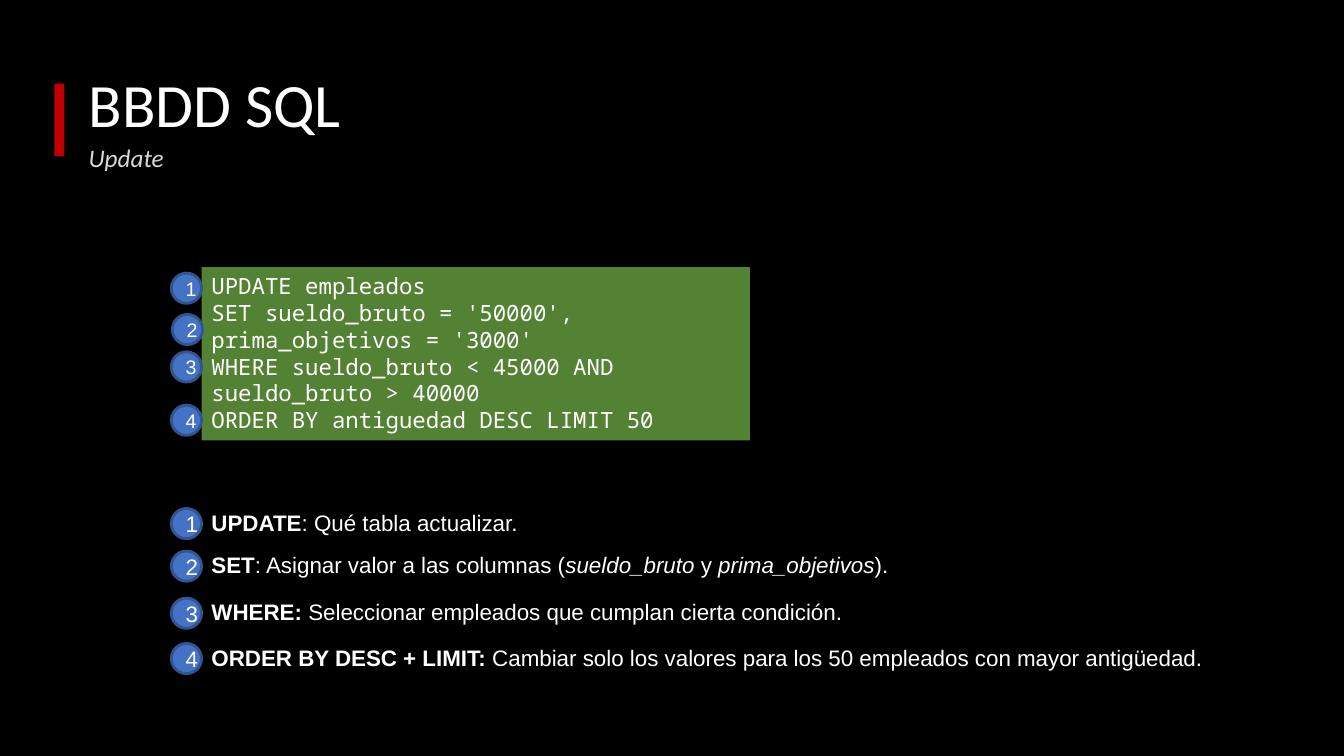
"""Builds the slide that explains the clauses of an SQL UPDATE statement."""
from pptx import Presentation
from pptx.dml.color import RGBColor
from pptx.enum.shapes import MSO_SHAPE
from pptx.enum.text import MSO_ANCHOR, PP_ALIGN
from pptx.util import Pt

TITLE, SUBTITLE = "BBDD SQL", "Update"
CODE = [
    "UPDATE empleados",
    "SET sueldo_bruto = '50000',",
    "prima_objetivos = '3000'",
    "WHERE sueldo_bruto < 45000 AND sueldo_bruto > 40000",
    "ORDER BY antiguedad DESC LIMIT 50",
]
CODE_BADGES = [(122.4, 195.1), (123.1, 224.6), (122.4, 251.3), (122.4, 289.4)]
CLAUSES = [
    (360, [("UPDATE", "b"), (": Qué tabla actualizar.", "")]),
    (390.4, [("SET", "b"), (": Asignar valor a las columnas (", ""),
             ("sueldo_bruto", "i"), (" y ", ""), ("prima_objetivos", "i"), (").", "")]),
    (424, [("WHERE: ", "b"),
           ("Seleccionar empleados que cumplan cierta condición.", "")]),
    (456.4, [("ORDER BY DESC + LIMIT: ", "b"),
             ("Cambiar solo los valores para los 50 empleados con mayor antigüedad.", "")]),
]

BLACK = RGBColor(0x00, 0x00, 0x00)
WHITE = RGBColor(0xFF, 0xFF, 0xFF)
GREY = RGBColor(0xD8, 0xD8, 0xD8)
RED = RGBColor(0xC0, 0x00, 0x00)
GREEN = RGBColor(0x54, 0x82, 0x35)
BLUE = RGBColor(0x44, 0x72, 0xC4)
DARK_BLUE = RGBColor(0x32, 0x54, 0x91)
BADGE_LEFT, BADGE_SIZE, BADGE_DROP = 122.4, 21.6, 3.2
TEXT_LEFT = 144

prs = Presentation()
prs.slide_width, prs.slide_height = Pt(960), Pt(540)
slide = prs.slides.add_slide(prs.slide_layouts[6])
slide.background.fill.solid()
slide.background.fill.fore_color.rgb = BLACK


def write(shape, paragraphs, font, size, color=WHITE, align=PP_ALIGN.LEFT,
          anchor=MSO_ANCHOR.TOP, spacing=1.0):
    frame = shape.text_frame
    frame.word_wrap, frame.vertical_anchor = True, anchor
    for index, runs in enumerate(paragraphs):
        paragraph = frame.add_paragraph() if index else frame.paragraphs[0]
        paragraph.alignment, paragraph.line_spacing = align, spacing
        for text, style in runs:
            run = paragraph.add_run()
            run.text = text
            run.font.name, run.font.size = font, Pt(size)
            run.font.color.rgb = color
            run.font.bold, run.font.italic = style == "b", style == "i"


def add_text(box, *args, **kwargs):
    write(slide.shapes.add_textbox(*map(Pt, box)), *args, **kwargs)


def add_block(kind, box, fill, line=None):
    shape = slide.shapes.add_shape(kind, *map(Pt, box))
    shape.shadow.inherit = False
    shape.fill.solid()
    shape.fill.fore_color.rgb = fill
    if line is None:
        shape.line.fill.background()
    else:
        shape.line.color.rgb, shape.line.width = line, Pt(2)
    return shape


def add_badge(number, left, top, size):
    badge = add_block(MSO_SHAPE.OVAL, (left, top, BADGE_SIZE, BADGE_SIZE), BLUE, DARK_BLUE)
    write(badge, [[(str(number), "")]], "Arial", size,
          align=PP_ALIGN.CENTER, anchor=MSO_ANCHOR.MIDDLE)


add_text((56.2, 24.5, 828, 104.4), [[(TITLE, "")]], "Calibri", 44,
         anchor=MSO_ANCHOR.MIDDLE, spacing=0.9)
add_text((56.2, 100.8, 432, 37.4), [[(SUBTITLE, "i")]], "Calibri", 18, GREY, spacing=0.9)
add_block(MSO_SHAPE.RECTANGLE, (38.9, 59.8, 7.2, 51.8), RED)

code_box = add_block(MSO_SHAPE.RECTANGLE, (TEXT_LEFT, 190.8, 391.7, 123.8), GREEN)
write(code_box, [[(line, "")] for line in CODE], "Noto Sans Mono", 16)
for number, (left, top) in enumerate(CODE_BADGES, 1):
    add_badge(number, left, top, 14)

for number, (top, runs) in enumerate(CLAUSES, 1):
    add_badge(number, BADGE_LEFT, top + BADGE_DROP, 16)
    add_text((TEXT_LEFT, top, 750, 26.6), [runs], "Arial", 16)

prs.save("out.pptx")
